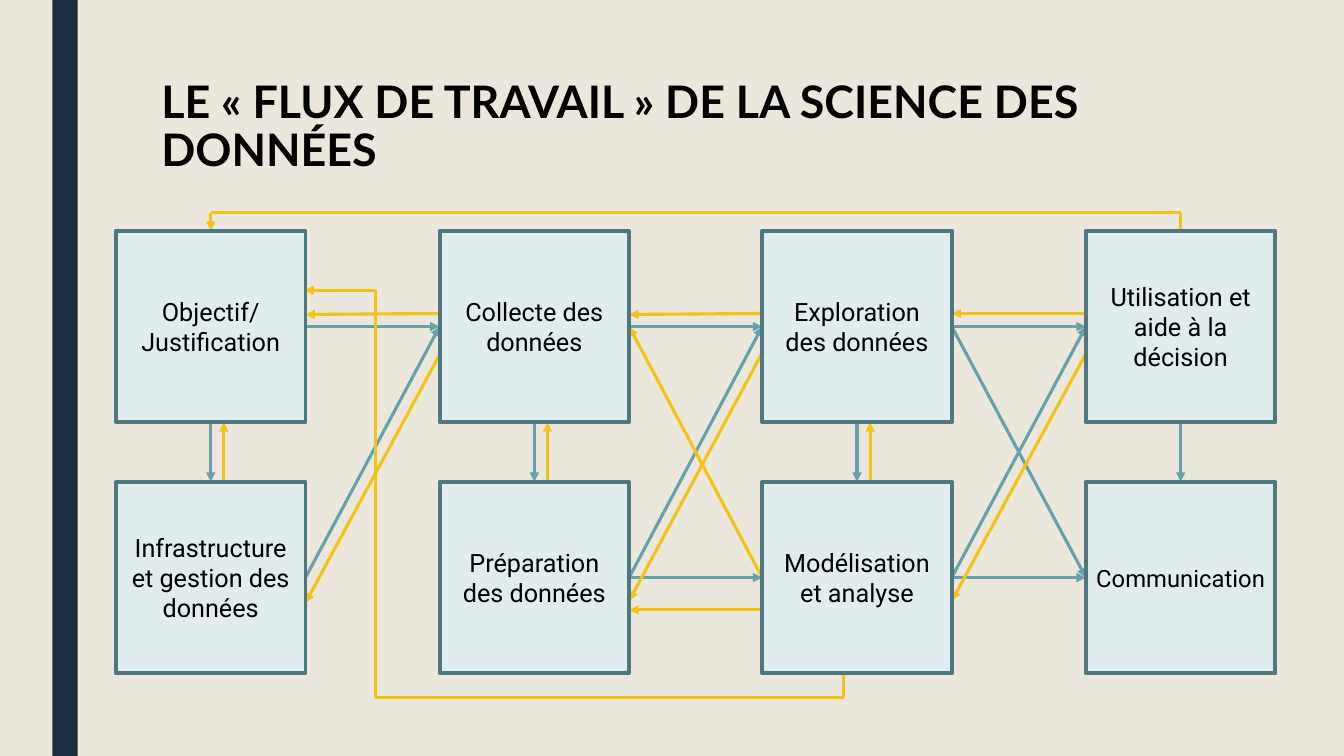
"""Build the slide on the data science workflow."""
from lxml import etree
from pptx import Presentation
from pptx.dml.color import RGBColor
from pptx.enum.shapes import MSO_CONNECTOR, MSO_SHAPE
from pptx.enum.text import MSO_ANCHOR, MSO_AUTO_SIZE, PP_ALIGN
from pptx.oxml.ns import qn
from pptx.util import Pt

RECTANGLE = MSO_SHAPE.RECTANGLE
STRAIGHT = MSO_CONNECTOR.STRAIGHT
ELBOW = MSO_CONNECTOR.ELBOW
TOP = MSO_ANCHOR.TOP
MIDDLE = MSO_ANCHOR.MIDDLE
NO_AUTOFIT = MSO_AUTO_SIZE.NONE
LEFT = PP_ALIGN.LEFT
CENTER = PP_ALIGN.CENTER

EMU_PER_PX = 9144
COLORS = {
    "background": "EBE7DD",
    "bar": "1A2E40",
    "text": "000000",
    "box": "E1ECEE",
    "border": "4E777F",
    "forward": "69A1AB",
    "feedback": "F2C418",
}

BOX_WIDTH, BOX_HEIGHT = 188, 190
FIRST_LEFT, LAST_LEFT = 115, 1077
FIRST_TOP, ROW_PITCH = 229, 249
COLUMNS = 4
STEPS = [
    ["Objectif/\nJustification", "Collecte des données",
     "Exploration des données", "Utilisation et aide à la décision"],
    ["Infrastructure et gestion des données", "Préparation des données",
     "Modélisation et analyse", "Communication"],
]
SMALLER_SIZES = {"Communication": 17}

FORWARD_LINKS = [
    ((0, 0), (1, 0)), ((0, 1), (1, 0)),
    ((1, 0), (2, 0)), ((1, 1), (2, 0)), ((1, 1), (2, 1)),
    ((2, 0), (3, 0)), ((2, 0), (3, 1)), ((2, 1), (3, 1)), ((2, 1), (3, 0)),
]
FEEDBACK_LINKS = [
    ((1, 0), -13, (0, 0), -12), ((1, 0), 28, (0, 1), 25),
    ((2, 0), -13, (1, 0), -12), ((2, 0), 26, (1, 1), 23),
    ((2, 1), 0, (1, 0), 0), ((2, 1), 32, (1, 1), 32),
    ((3, 0), -13, (2, 0), -13), ((3, 0), 27, (2, 1), 23),
]
FEEDBACK_COLUMNS = 3
FEEDBACK_SHIFT = 13
TOP_LOOP_Y = 211
BOTTOM_LOOP_START, BOTTOM_LOOP_END = (837, 692), (302, 288)
BOTTOM_LOOP_BEND = 86800


def px(length):
    """Turn a length in px into EMU."""
    return int(length * EMU_PER_PX)


def color(name):
    """Return the named colour."""
    return RGBColor.from_string(COLORS[name])


def box_left(column):
    """Return the left edge of a column of boxes."""
    return FIRST_LEFT + round((LAST_LEFT - FIRST_LEFT) * column / (COLUMNS - 1))


def box_top(row):
    """Return the top edge of a row of boxes."""
    return FIRST_TOP + ROW_PITCH * row


def box_center(column):
    """Return the horizontal centre of a column of boxes."""
    return box_left(column) + BOX_WIDTH // 2


def left_point(cell, shift=0):
    """Return a point on the left side of a box, shifted from its middle."""
    column, row = cell
    return box_left(column), box_top(row) + BOX_HEIGHT // 2 + shift


def right_point(cell, shift=0):
    """Return a point on the right side of a box, shifted from its middle."""
    x, y = left_point(cell, shift)
    return x + BOX_WIDTH, y


def format_runs(paragraph, font_name, size, bold=False):
    """Set the font of every run in a paragraph."""
    for run in paragraph.runs:
        run.font.name = font_name
        run.font.size = Pt(size)
        run.font.bold = bold
        run.font.color.rgb = color("text")


def add_title(slide, text):
    """Fill and place the title placeholder."""
    title = slide.shapes.title
    title.left, title.top = px(150), px(75)
    title.width, title.height = px(1050), px(162)
    frame = title.text_frame
    frame.text = text
    frame.word_wrap = True
    frame.auto_size = NO_AUTOFIT
    frame.vertical_anchor = TOP
    paragraph = frame.paragraphs[0]
    paragraph.alignment = LEFT
    paragraph.line_spacing = 0.89
    format_runs(paragraph, "Lato", 32, bold=True)


def add_rectangle(slide, left, top, width, height, fill):
    """Add a filled rectangle without outline or shadow."""
    shape = slide.shapes.add_shape(RECTANGLE, px(left), px(top), px(width), px(height))
    shape.shadow.inherit = False
    shape.fill.solid()
    shape.fill.fore_color.rgb = color(fill)
    shape.line.fill.background()
    return shape


def add_step(slide, column, row, text):
    """Add one box of the workflow with its label."""
    box = add_rectangle(slide, box_left(column), box_top(row), BOX_WIDTH, BOX_HEIGHT, "box")
    box.line.color.rgb = color("border")
    box.line.width = Pt(2.75)
    frame = box.text_frame
    frame.text = text
    frame.word_wrap = True
    frame.vertical_anchor = MIDDLE
    for paragraph in frame.paragraphs:
        paragraph.alignment = CENTER
        format_runs(paragraph, "Roboto", SMALLER_SIZES.get(text, 18))


def add_link(slide, start, end, kind, arrow=True, route=STRAIGHT):
    """Add a connector between two points."""
    link = slide.shapes.add_connector(route, *map(px, start + end))
    link.line.color.rgb = color(kind)
    link.line.width = Pt(2.25)
    if arrow:
        etree.SubElement(link.line._get_or_add_ln(), qn("a:tailEnd"), type="triangle")
    etree.SubElement(link._element.spPr, qn("a:effectLst"))
    return link


def add_forward_links(slide):
    """Add the arrows that lead onward through the workflow."""
    for source, target in FORWARD_LINKS:
        add_link(slide, right_point(source), left_point(target), "forward")
    for column in range(COLUMNS):
        x = box_center(column)
        add_link(slide, (x, box_top(0) + BOX_HEIGHT), (x, box_top(1)), "forward")


def add_feedback_links(slide):
    """Add the arrows that lead back to earlier steps."""
    for source, source_shift, target, target_shift in FEEDBACK_LINKS:
        add_link(slide, left_point(source, source_shift),
                 right_point(target, target_shift), "feedback")
    for column in range(FEEDBACK_COLUMNS):
        x = box_center(column) + FEEDBACK_SHIFT
        add_link(slide, (x, box_top(1)), (x, box_top(0) + BOX_HEIGHT), "feedback")


def add_loops(slide):
    """Add the two long ways back to the first step."""
    first, last = box_center(0), box_center(COLUMNS - 1)
    add_link(slide, (last, box_top(0)), (last, TOP_LOOP_Y), "feedback", arrow=False)
    add_link(slide, (last, TOP_LOOP_Y), (first, TOP_LOOP_Y), "feedback", arrow=False)
    add_link(slide, (first, TOP_LOOP_Y), (first, box_top(0)), "feedback")
    x, y = BOTTOM_LOOP_START
    add_link(slide, (x, box_top(1) + BOX_HEIGHT), (x, y), "feedback", arrow=False)
    loop = add_link(slide, BOTTOM_LOOP_START, BOTTOM_LOOP_END, "feedback", route=ELBOW)
    adjustments = loop._element.spPr.find(qn("a:prstGeom")).find(qn("a:avLst"))
    etree.SubElement(adjustments, qn("a:gd"), name="adj1", fmla=f"val {BOTTOM_LOOP_BEND}")


def main():
    """Build and save the presentation."""
    presentation = Presentation()
    presentation.slide_width, presentation.slide_height = px(1333), px(750)
    slide = presentation.slides.add_slide(presentation.slide_layouts[5])
    slide.background.fill.solid()
    slide.background.fill.fore_color.rgb = color("background")
    add_rectangle(slide, 52, 0, 25, 750, "bar")
    add_title(slide, "LE « FLUX DE TRAVAIL » DE LA SCIENCE DES DONNÉES")
    add_forward_links(slide)
    add_feedback_links(slide)
    add_loops(slide)
    for row, labels in enumerate(STEPS):
        for column, label in enumerate(labels):
            add_step(slide, column, row, label)
    presentation.save("out.pptx")


if __name__ == "__main__":
    main()
